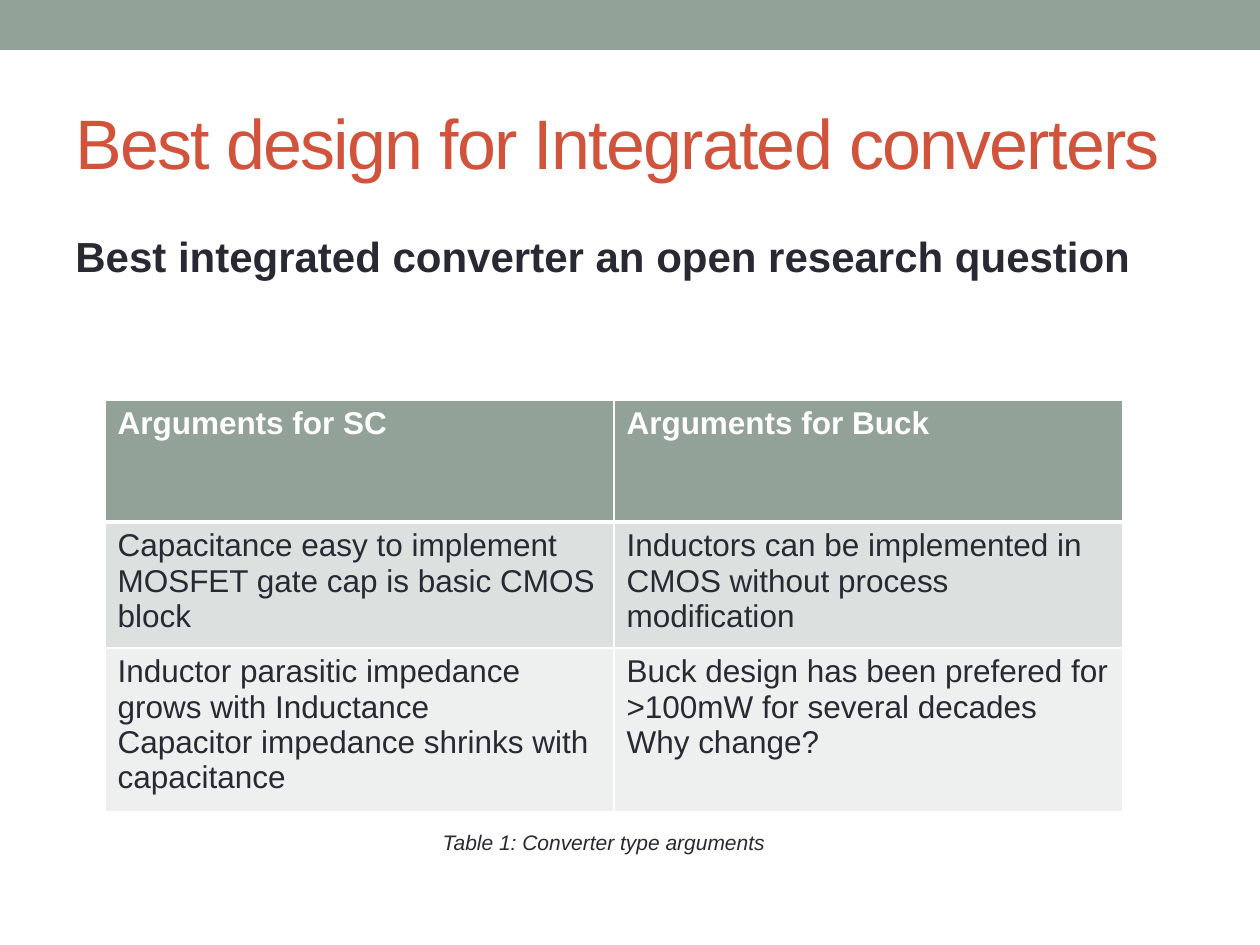
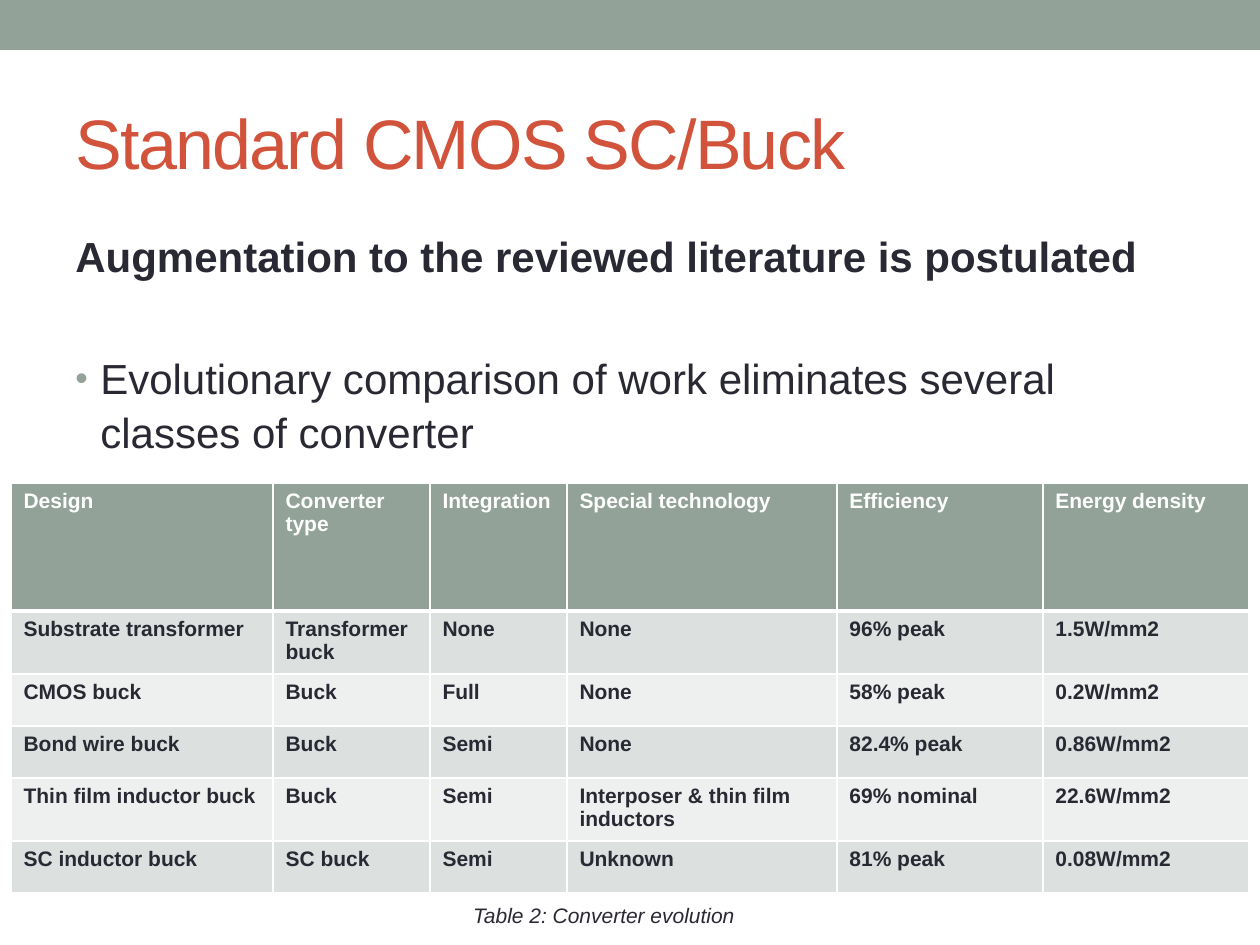
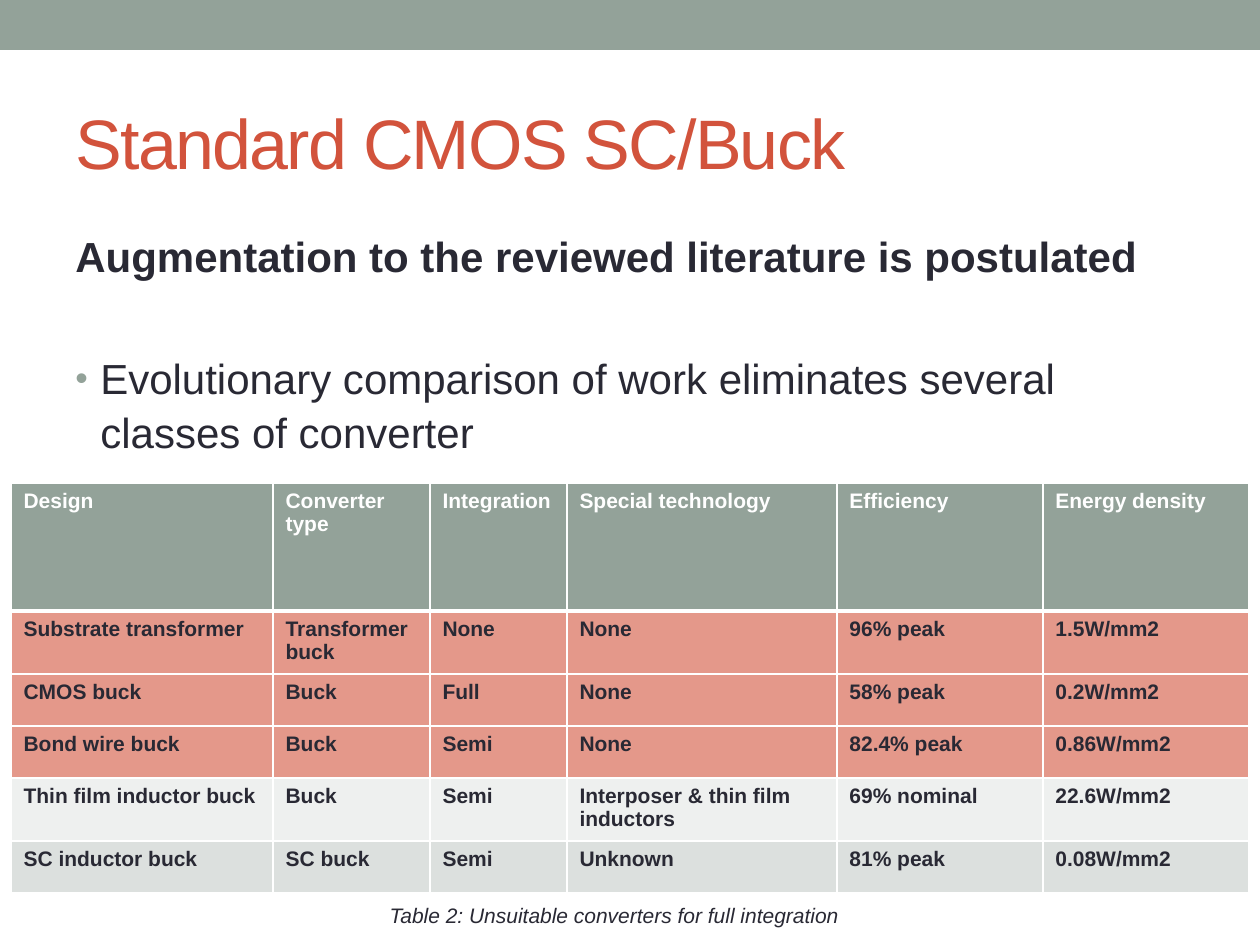
import pptx
import pptx.util
import pptx.dml.color
import pptx.enum.shapes
import pptx.enum.text
import pptx.oxml
import pptx.oxml.ns

FONT = "Arial"
SAGE, RUST, INK, WHITE = "93A299", "D2533C", "292934", "FFFFFF"
BANDS = ["EEF0EF", "DCE0DE"]
FLAGGED = "E4988A"
PX = 914400 / 126


def color(hex_text):
    return pptx.dml.color.RGBColor.from_string(hex_text)


def add_span(para, text, size, hex_text, bold=False, italic=False):
    span = para.add_run()
    span.text = text
    span.font.name = FONT
    span.font.size = pptx.util.Pt(size)
    span.font.bold = bold
    span.font.italic = italic
    span.font.color.rgb = color(hex_text)
    return span


argument_rows = [
    ["Arguments for SC", "Arguments for Buck"],
    ["Capacitance easy to implement\nMOSFET gate cap is basic CMOS block",
     "Inductors can be implemented in CMOS without process modification"],
    ["Inductor parasitic impedance grows with Inductance\nCapacitor impedance shrinks with capacitance",
     "Buck design has been prefered for >100mW for several decades\nWhy change?"],
]
converter_rows = [
    ["Design", "Converter type", "Integration", "Special technology", "Efficiency", "Energy density"],
    ["Substrate transformer", "Transformer buck", "None", "None", "96% peak", "1.5W/mm2"],
    ["CMOS buck", "Buck", "Full", "None", "58% peak", "0.2W/mm2"],
    ["Bond wire buck", "Buck", "Semi", "None", "82.4% peak", "0.86W/mm2"],
    ["Thin film inductor buck", "Buck", "Semi", "Interposer & thin film inductors", "69% nominal", "22.6W/mm2"],
    ["SC inductor buck", "SC buck", "Semi", "Unknown", "81% peak", "0.08W/mm2"],
]

argument_table = dict(rows=argument_rows, left=105, top=400, widths=[509, 509],
                      heights=[122, 122, 154], size=18, bold=False)
converter_table = dict(rows=converter_rows, left=11, top=483, widths=[262, 157, 137, 270, 206, 206],
                       heights=[128] + [52] * 5, size=12, bold=True)
converter_text = dict(title="Standard CMOS SC/Buck",
                      lead="Augmentation to the reviewed literature is postulated",
                      bullet="Evolutionary comparison of work eliminates several classes of converter",
                      table=converter_table)
slides = [
    dict(title="Best design for Integrated converters",
         lead="Best integrated converter an open research question", bullet=None,
         table=argument_table, flagged=[],
         caption="Table 1: Converter type arguments", caption_box=(394, 823, 420, 38)),
    dict(converter_text, flagged=[],
         caption="Table 2: Converter evolution", caption_box=(394, 896, 420, 38)),
    dict(converter_text, flagged=[1, 2, 3],
         caption="Table 2: Unsuitable converters for full integration", caption_box=(336, 896, 557, 38)),
]

deck = pptx.Presentation()
deck.slide_width = round(1260 * PX)
deck.slide_height = round(945 * PX)

for content in slides:
    page = deck.slides.add_slide(deck.slide_layouts[5])

    # Top band
    band = page.shapes.add_shape(pptx.enum.shapes.MSO_SHAPE.RECTANGLE, 0, 0, deck.slide_width, round(50 * PX))
    band.shadow.inherit = False
    band.fill.solid()
    band.fill.fore_color.rgb = color(SAGE)
    band.line.fill.background()

    # Title
    title = page.shapes.title
    title.left, title.top, title.width, title.height = [round(n * PX) for n in (63, 73, 1134, 136)]
    title.text_frame.vertical_anchor = pptx.enum.text.MSO_ANCHOR.MIDDLE
    para = title.text_frame.paragraphs[0]
    para.alignment = pptx.enum.text.PP_ALIGN.LEFT
    span = add_span(para, content["title"], 40, RUST)
    span.font._element.set("spc", "-100")

    # Lead line and bullet
    body = page.shapes.add_textbox(*[round(n * PX) for n in (63, 221, 1134, 672)])
    body.text_frame.word_wrap = True
    para = body.text_frame.paragraphs[0]
    para.line_spacing = 1.07
    add_span(para, content["lead"], 24, INK, bold=True)
    if content["bullet"]:
        para = body.text_frame.add_paragraph()
        para.line_spacing = 1.07
        para.space_before = pptx.util.Pt(39)
        add_span(para, content["bullet"], 24, INK)
        props = para._p.get_or_add_pPr()
        props.set("marL", str(round(25 * PX)))
        props.set("indent", str(round(-25 * PX)))
        for xml in (f'<a:buClr %s><a:srgbClr val="{SAGE}"/></a:buClr>',
                    '<a:buSzPct %s val="85000"/>',
                    f'<a:buFont %s typeface="{FONT}"/>',
                    '<a:buChar %s char="•"/>'):
            props.append(pptx.oxml.parse_xml(xml % pptx.oxml.ns.nsdecls("a")))

    # Table
    layout = content["table"]
    rows, widths, heights = layout["rows"], layout["widths"], layout["heights"]
    frame = page.shapes.add_table(len(rows), len(widths), *[
        round(n * PX) for n in (layout["left"], layout["top"], sum(widths), sum(heights))])
    table = frame.table
    for column, width in zip(table.columns, widths):
        column.width = round(width * PX)
    for row_index, texts in enumerate(rows):
        table.rows[row_index].height = round(heights[row_index] * PX)
        header = row_index == 0
        fill = SAGE if header else FLAGGED if row_index in content["flagged"] else BANDS[row_index % 2]
        for column_index, text in enumerate(texts):
            cell = table.cell(row_index, column_index)
            props = cell._tc.get_or_add_tcPr()
            for side in "LRTB":
                thick = (row_index, side) in [(0, "B"), (1, "T")]
                props.append(pptx.oxml.parse_xml(
                    f'<a:ln{side} {pptx.oxml.ns.nsdecls("a")} w="{38100 if thick else 12700}">'
                    f'<a:solidFill><a:srgbClr val="{WHITE}"/></a:solidFill></a:ln{side}>'))
            cell.fill.solid()
            cell.fill.fore_color.rgb = color(fill)
            for line_index, line in enumerate(text.split("\n")):
                para = cell.text_frame.add_paragraph() if line_index else cell.text_frame.paragraphs[0]
                add_span(para, line, layout["size"], WHITE if header else INK, bold=header or layout["bold"])

    # Caption
    caption = page.shapes.add_textbox(*[round(n * PX) for n in content["caption_box"]])
    caption.text_frame.word_wrap = True
    para = caption.text_frame.paragraphs[0]
    para.alignment = pptx.enum.text.PP_ALIGN.CENTER
    add_span(para, content["caption"], 12, INK, italic=True)

deck.save("out.pptx")
